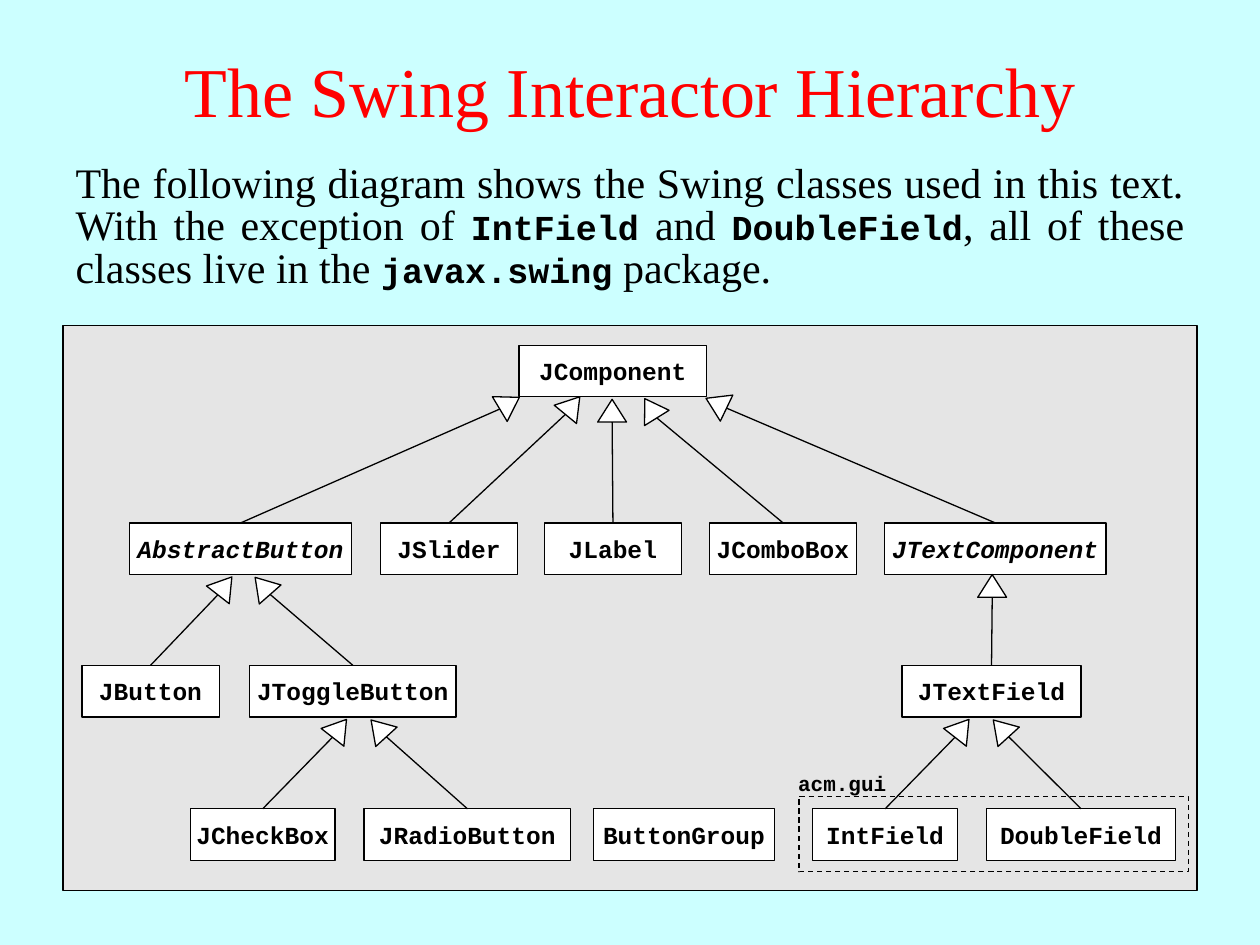
from math import cos, radians, sin

from lxml import etree
from pptx import Presentation
from pptx.dml.color import RGBColor
from pptx.enum.dml import MSO_LINE
from pptx.enum.shapes import MSO_CONNECTOR, MSO_SHAPE
from pptx.enum.text import MSO_ANCHOR, MSO_AUTO_SIZE, PP_ALIGN
from pptx.oxml.ns import qn
from pptx.util import Pt

RECTANGLE, TRIANGLE = MSO_SHAPE.RECTANGLE, MSO_SHAPE.ISOSCELES_TRIANGLE
STRAIGHT, DASH = MSO_CONNECTOR.STRAIGHT, MSO_LINE.DASH
TOP, MIDDLE = MSO_ANCHOR.TOP, MSO_ANCHOR.MIDDLE
LEFT, CENTER, JUSTIFY = PP_ALIGN.LEFT, PP_ALIGN.CENTER, PP_ALIGN.JUSTIFY
NO_AUTOFIT = MSO_AUTO_SIZE.NONE
SERIF, MONO = "Times New Roman", "Courier New"

BOX_HEIGHT = 29.5
HEAD_WIDTH, HEAD_HEIGHT = 16.5, 13

# Row top: [(class, left, width)]
CLASS_ROWS = {
    197.3: [("JComponent", 296.6, 107.3)],
    298.8: [("AbstractButton", 74.2, 126.7), ("JSlider", 217.4, 78.5),
            ("JLabel", 311, 78.5), ("JComboBox", 405.4, 84.2),
            ("JTextComponent", 505.4, 126.7)],
    380.2: [("JButton", 46.8, 78.5), ("JToggleButton", 142.6, 118.1),
            ("JTextField", 515.5, 102.2)],
    462.2: [("JCheckBox", 108.7, 82.8), ("JRadioButton", 208.1, 118.1),
            ("ButtonGroup", 339.1, 103.7), ("IntField", 464.4, 82.8),
            ("DoubleField", 563.8, 108)],
}
ABSTRACT_CLASSES = {"AbstractButton", "JTextComponent"}

# Subclass, centre of its arrowhead, rotation of the arrowhead
INHERITANCE = [
    ("AbstractButton", 291.2, 230.4, 59.1),
    ("JSlider", 327.2, 231.8, 39.4),
    ("JLabel", 349.8, 234.7, 0),
    ("JComboBox", 371.9, 233.3, 328.1),
    ("JTextComponent", 409.3, 230.4, 295.6),
    ("JButton", 128.5, 334.8, 38),
    ("JToggleButton", 150.1, 334.8, 318.7),
    ("JTextField", 567, 334.8, 0),
    ("JCheckBox", 194, 416.2, 38),
    ("JRadioButton", 216.4, 416.2, 317.7),
    ("IntField", 549.7, 416.2, 38),
    ("DoubleField", 572, 416.2, 317.7),
]


def write(shape, text, font=MONO, size=14, color="000000", bold=False,
          italic=False, align=CENTER, anchor=MIDDLE, wrap=False):
    """Append a run to the shape's first paragraph and format both."""
    frame = shape.text_frame
    frame.auto_size = NO_AUTOFIT
    frame.word_wrap = wrap
    frame.vertical_anchor = anchor
    paragraph = frame.paragraphs[0]
    paragraph.alignment = align
    run = paragraph.add_run()
    run.text = text
    run.font.name, run.font.size = font, Pt(size)
    run.font.bold, run.font.italic = bold, italic
    run.font.color.rgb = RGBColor.from_string(color)


def add_outlined(kind, left, top, width, height, fill=None):
    shape = slide.shapes.add_shape(kind, Pt(left), Pt(top), Pt(width), Pt(height))
    shape.shadow.inherit = False
    if fill:
        shape.fill.solid()
        shape.fill.fore_color.rgb = RGBColor.from_string(fill)
    else:
        shape.fill.background()
    shape.line.color.rgb = RGBColor.from_string("000000")
    shape.line.width = Pt(0.75)
    return shape


prs = Presentation()
prs.slide_width, prs.slide_height = Pt(720), Pt(540)
slide = prs.slides.add_slide(prs.slide_layouts[1])
slide.background.fill.solid()
slide.background.fill.fore_color.rgb = RGBColor.from_string("CCFFFF")

# Title and introduction
title = slide.shapes.title
title.left, title.top, title.width, title.height = Pt(0), Pt(6), Pt(720), Pt(90)
write(title, "The Swing Interactor Hierarchy", font=SERIF, size=40,
      color="FF0000", wrap=True)

intro = slide.placeholders[1]
intro.left, intro.top, intro.width, intro.height = Pt(36), Pt(90), Pt(648), Pt(105)
intro_paragraph = intro.text_frame.paragraphs[0]
intro_paragraph.line_spacing = 0.85
intro_paragraph.space_before = Pt(0)
properties = intro_paragraph._p.get_or_add_pPr()
properties.set("marL", "0")
properties.set("indent", "0")
etree.SubElement(properties, qn("a:buNone"))
for text, is_code in [
    ("The following diagram shows the Swing classes used in this text. "
     "With the exception of ", False),
    ("IntField", True),
    (" and ", False),
    ("DoubleField", True),
    (", all of these classes live in the ", False),
    ("javax.swing", True),
    (" package.", False),
]:
    write(intro, text, font=MONO if is_code else SERIF, size=20 if is_code else 24,
          bold=is_code, align=JUSTIFY, anchor=TOP, wrap=True)

# Class boxes
add_outlined(RECTANGLE, 36, 186, 648, 323, fill="E5E5E5")
top_centers = {}
for top, row in CLASS_ROWS.items():
    for name, left, width in row:
        class_box = add_outlined(RECTANGLE, left, top, width, BOX_HEIGHT, fill="FFFFFF")
        write(class_box, name, bold=True, italic=name in ABSTRACT_CLASSES)
        top_centers[name] = (left + width / 2, top)

# Each line runs from a subclass to the middle of its arrowhead's base
for name, x, y, rotation in INHERITANCE:
    arrowhead = add_outlined(TRIANGLE, x - HEAD_WIDTH / 2, y - HEAD_HEIGHT / 2,
                             HEAD_WIDTH, HEAD_HEIGHT, fill="FFFFFF")
    arrowhead.rotation = rotation
    base_x = x - HEAD_HEIGHT / 2 * sin(radians(rotation))
    base_y = y + HEAD_HEIGHT / 2 * cos(radians(rotation))
    start_x, start_y = top_centers[name]
    link = slide.shapes.add_connector(STRAIGHT, Pt(start_x), Pt(start_y),
                                      Pt(base_x), Pt(base_y))
    link.line.color.rgb = RGBColor.from_string("000000")
    link.line.width = Pt(0.75)
    etree.SubElement(link._element.spPr, qn("a:effectLst"))

# Package outside javax.swing
package_frame = add_outlined(RECTANGLE, 456.5, 455, 222.5, 43.2)
package_frame.line.dash_style = DASH
package_label = slide.shapes.add_textbox(Pt(449), Pt(437), Pt(66), Pt(21.6))
write(package_label, "acm.gui", size=12, bold=True, align=LEFT, anchor=TOP)

prs.save("out.pptx")
